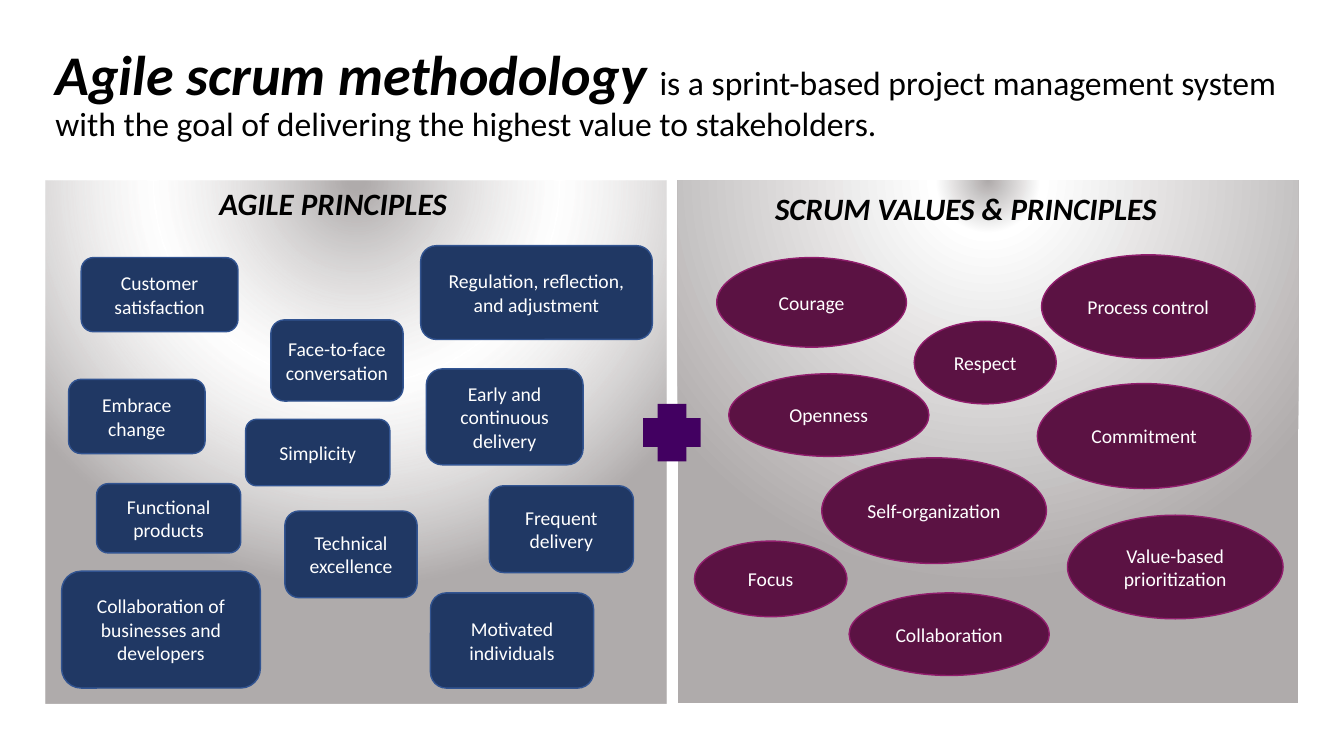
from lxml import etree
from pptx import Presentation
from pptx.dml.color import RGBColor
from pptx.enum.shapes import MSO_SHAPE as Shape
from pptx.enum.text import MSO_ANCHOR as Anchor, PP_ALIGN as Align
from pptx.oxml import parse_xml
from pptx.oxml.ns import nsdecls, qn
from pptx.util import Pt

COLORS = {
    "text": "000000",
    "label": "FFFFFF",
    "panel_light": "FFFFFF",
    "panel_dark": "AFABAB",
    "agile": "203864",
    "agile_line": "325491",
    "scrum": "5B1243",
    "scrum_line": "911D6D",
    "plus": "420061",
}

presentation = Presentation()
presentation.slide_width, presentation.slide_height = Pt(960), Pt(540)
slide = presentation.slides.add_slide(presentation.slide_layouts[6])


def write(shape, *runs, align=Align.CENTER, anchor=Anchor.MIDDLE,
          color="text", spacing=1.0, before=0):
    """Fill a shape with one paragraph of (text, size, bold italic) runs."""
    frame = shape.text_frame
    frame.word_wrap = True
    frame.vertical_anchor = anchor
    paragraph = frame.paragraphs[0]
    paragraph.alignment = align
    paragraph.line_spacing = spacing
    paragraph.space_before = Pt(before)
    for text, size, strong in runs:
        run = paragraph.add_run()
        run.text = text
        run.font.name = "Calibri"
        run.font.size = Pt(size)
        run.font.bold = run.font.italic = strong
        run.font.color.rgb = RGBColor.from_string(COLORS[color])


def add_block(kind, box, fill=None, line=None):
    shape = slide.shapes.add_shape(kind, *map(Pt, box))
    shape.shadow.inherit = False
    if fill:
        shape.fill.solid()
        shape.fill.fore_color.rgb = RGBColor.from_string(COLORS[fill])
    if line:
        shape.line.color.rgb = RGBColor.from_string(COLORS[line])
        shape.line.width = Pt(1)
    else:
        shape.line.fill.background()
    return shape


# Panels with a circular gradient: left, first stop, light stop, light opacity
for left, start, middle, opacity in [(484, 0, 13, 100), (32.5, 2, 50, 53)]:
    panel = add_block(Shape.FLOWCHART_PROCESS, (left, 129, 443.5, 373.5))
    gradient = parse_xml(
        f'<a:gradFill {nsdecls("a")} rotWithShape="1"><a:gsLst/><a:path path="circle">'
        '<a:fillToRect l="50000" t="-80000" r="50000" b="180000"/></a:path></a:gradFill>')
    stops = [(start, "panel_dark", 100), (middle, "panel_light", opacity),
             (100, "panel_dark", 100)]
    for position, color, alpha in stops:
        stop = etree.SubElement(gradient[0], qn("a:gs"), pos=str(position * 1000))
        tint = etree.SubElement(stop, qn("a:srgbClr"), val=COLORS[color])
        if alpha < 100:
            etree.SubElement(tint, qn("a:alpha"), val=str(alpha * 1000))
    properties = panel.fill._xPr
    properties.insert(properties.index(properties.find(qn("a:prstGeom"))) + 1, gradient)

# Title
title = slide.shapes.add_textbox(Pt(32.5), Pt(13.5), Pt(895), Pt(109.5))
write(title,
      ("Agile scrum methodology ", 40, True),
      ("is a sprint-based project management system with the goal of "
       "delivering the highest value to stakeholders.", 24, False),
      align=Align.LEFT, spacing=0.9)

# Panel headings
for text, left, top, width in [("AGILE PRINCIPLES", 35, 133, 406),
                               ("SCRUM VALUES & PRINCIPLES", 486, 136, 408)]:
    heading = slide.shapes.add_textbox(Pt(left), Pt(top), Pt(width), Pt(29))
    write(heading, (text, 22.2, True), anchor=Anchor.BOTTOM, spacing=0.8, before=10)

# Labelled blocks: left, top, width, height
agile_principles = {
    "Customer satisfaction": (58, 184, 112, 53),
    "Regulation, reflection, and adjustment": (300.5, 175.5, 165.5, 67),
    "Face-to-face conversation": (193.5, 228.5, 94.5, 58),
    "Early and continuous delivery": (304.5, 263.5, 112, 68.5),
    "Embrace change": (49, 271, 97.5, 53),
    "Simplicity": (175.5, 299.5, 103, 47.5),
    "Functional products": (69, 345.5, 103, 49.5),
    "Technical excellence": (203.5, 365, 94.5, 62),
    "Frequent delivery": (349.5, 347, 103, 62),
    "Collaboration of businesses and developers": (44, 408, 142, 83.5),
    "Motivated individuals": (307.5, 423.5, 116.5, 68),
}
scrum_values = {
    "Courage": (512, 184, 135.5, 64),
    "Process control": (744, 182, 152.5, 74),
    "Respect": (653, 229.5, 101.5, 59),
    "Openness": (520.5, 267, 143, 59),
    "Commitment": (741, 274, 152.5, 75),
    "Self-organization": (587, 327, 160.5, 75.5),
    "Value-based prioritization": (762.5, 368, 154, 74),
    "Focus": (496, 386.5, 109, 54),
    "Collaboration": (606.5, 423.5, 143, 59),
}
for kind, color, blocks in [(Shape.ROUNDED_RECTANGLE, "agile", agile_principles),
                            (Shape.OVAL, "scrum", scrum_values)]:
    for label, box in blocks.items():
        block = add_block(kind, box, color, f"{color}_line")
        write(block, (label, 14, False), color="label")

# Plus sign between the panels
add_block(Shape.CROSS, (459.5, 288.5, 41, 41), "plus")

presentation.save("out.pptx")
